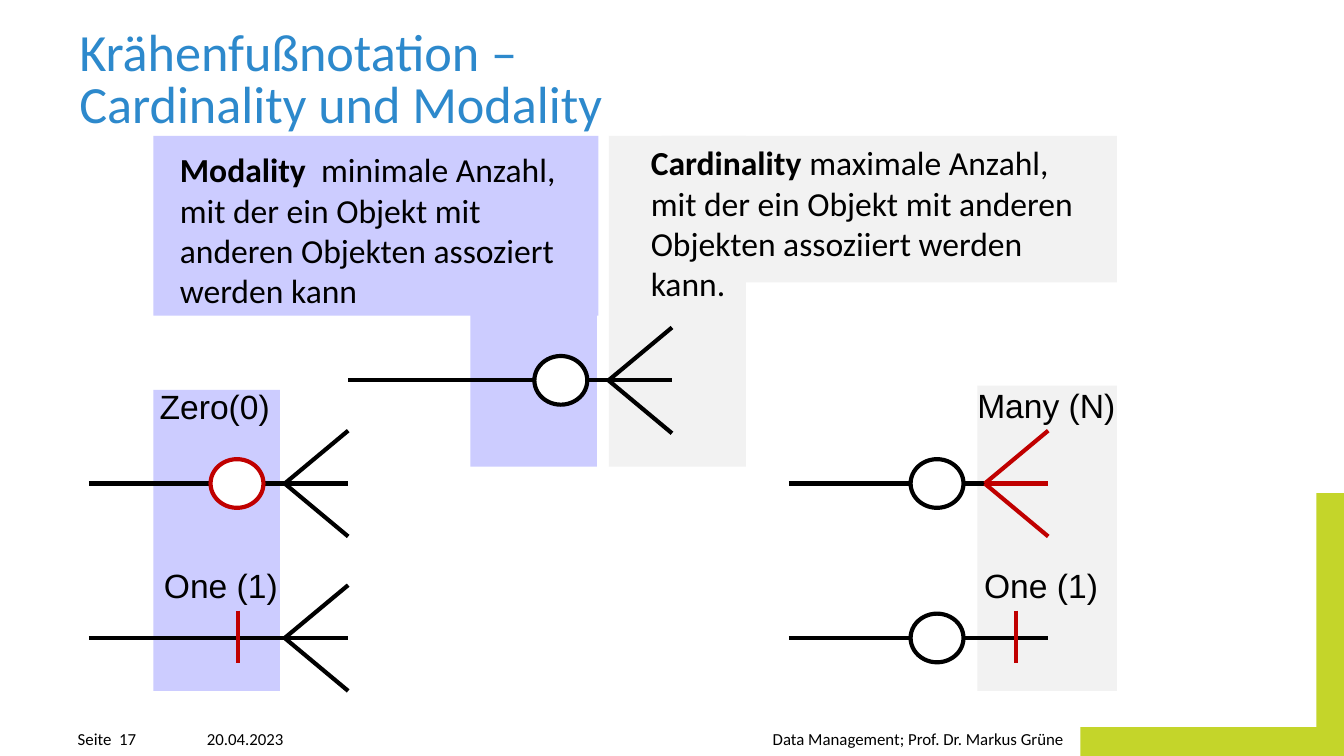
from lxml.etree import SubElement
from pptx import Presentation
from pptx.dml.color import RGBColor
from pptx.enum.shapes import MSO_CONNECTOR as LINE, MSO_SHAPE as SHAPE
from pptx.enum.text import MSO_ANCHOR as ANCHOR, PP_ALIGN as ALIGN
from pptx.oxml.ns import qn
from pptx.util import Cm, Pt

BLACK = RGBColor(0x00, 0x00, 0x00)
WHITE = RGBColor(0xFF, 0xFF, 0xFF)
RED = RGBColor(0xC0, 0x00, 0x00)
BLUE = RGBColor(0x2D, 0x89, 0xCC)
LILAC = RGBColor(0xCC, 0xCC, 0xFF)
GREY = RGBColor(0xF2, 0xF2, 0xF2)
LIME = RGBColor(0xC4, 0xD5, 0x2A)

deck = Presentation()
deck.slide_width, deck.slide_height = Cm(25.4), Cm(14.29)
slide = deck.slides.add_slide(deck.slide_layouts[6])
shapes = slide.shapes


def add_line(owner, x1, y1, x2, y2, color):
    line = owner.add_connector(LINE.STRAIGHT, Cm(x1), Cm(y1), Cm(x2), Cm(y2))
    line.line.color.rgb = color
    line.line.width = Pt(2.25)
    SubElement(line._element.spPr, qn("a:effectLst"))


def add_text(box, text, size, font="Calibri", color=BLACK, wrap=True, lead=""):
    """Add a text box without margins; lead is a bold opening run."""
    frame = shapes.add_textbox(*map(Cm, box)).text_frame
    frame.margin_left = frame.margin_right = 0
    frame.margin_top = frame.margin_bottom = 0
    frame.word_wrap = wrap
    para = frame.paragraphs[0]
    para.text = lead or text
    if lead:
        para.add_run().text = text
        para.runs[0].font.bold = True
    for run in para.runs:
        run.font.size = Pt(size)
        run.font.name = font
        run.font.color.rgb = color
    return frame


# Corner ornament
corner = shapes.add_shape(SHAPE.CORNER, Cm(20.42), Cm(9.32), Cm(5), Cm(5))
corner.adjustments[0], corner.adjustments[1] = 0.115, 0.108
corner._element.spPr.xfrm.set("flipH", "1")
corner.shadow.inherit = False
corner.fill.solid()
corner.fill.fore_color.rgb = LIME
corner.line.fill.background()

# Coloured areas
areas = [
    (18.47, 7.29, 2.64, 5.77, GREY),
    (8.89, 4.5, 2.39, 4.32, LILAC),
    (11.51, 2.57, 2.59, 6.25, GREY),
    (12.5, 2.57, 8.61, 2.77, GREY),
    (2.9, 2.57, 8.41, 3.4, LILAC),
    (2.9, 7.37, 2.39, 5.69, LILAC),
]
for *box, color in areas:
    area = shapes.add_shape(SHAPE.RECTANGLE, *map(Cm, box))
    area.shadow.inherit = False
    area.fill.solid()
    area.fill.fore_color.rgb = color
    area.line.fill.background()

# Title and definitions
title = add_text((1.5, 0.81, 18.8, 1.73),
                 "Krähenfußnotation –\vCardinality und Modality", 28, color=BLUE)
title.vertical_anchor = ANCHOR.BOTTOM
title.paragraphs[0].line_spacing = Pt(28)
add_text((12.3, 2.69, 8.2, 3.07),
         "maximale Anzahl, mit der ein Objekt mit anderen Objekten "
         "assoziiert werden kann.", 18, lead="Cardinality ")
add_text((3.4, 2.82, 7.65, 3.07),
         "minimale Anzahl, mit der ein Objekt mit anderen Objekten "
         "assoziert werden kann", 18, lead="Modality  ")

# Relation symbols: right end, height, length, foot, circle, bar offset
signs = [
    (12.7, 7.19, 6.12, BLACK, BLACK, None),
    (6.58, 9.14, 4.9, BLACK, RED, None),
    (6.58, 12.06, 4.9, BLACK, None, 2.08),
    (19.81, 9.14, 4.9, RED, BLACK, None),
    (19.81, 12.06, 4.9, None, BLACK, 0.61),
]
for end, y, length, foot, ring, bar in signs:
    group = shapes.add_group_shape().shapes
    add_line(group, end - length, y, end, y, BLACK)
    if foot is not None:
        for rise in (-1, 1):
            add_line(group, end - 1.2, y, end, y + rise, foot)
    if foot == RED:
        add_line(group, end - 1.2, y, end, y, RED)
    if ring is not None:
        circle = group.add_shape(SHAPE.OVAL, Cm(end - 2.6), Cm(y - 0.46),
                                 Cm(1), Cm(0.92))
        circle.shadow.inherit = False
        circle.fill.solid()
        circle.fill.fore_color.rgb = WHITE
        circle.line.color.rgb = ring
        circle.line.width = Pt(2.25)
    if bar is not None:
        add_line(group, end - bar, y - 0.52, end - bar, y + 0.48, RED)

# Symbol labels
labels = [
    (3.02, 7.29, 2.11, "Zero(0)"),
    (3.1, 10.67, 2.18, "One (1)"),
    (18.47, 7.27, 2.64, "Many (N)"),
    (18.6, 10.67, 2.18, "One (1)"),
]
for x, y, width, text in labels:
    add_text((x, y, width, 0.76), text, 18, font="Arial", wrap=False)

# Footer
page = add_text((1.47, 13.77, 1.4, 0.38), "Seite  17", 9, wrap=False)
date = add_text((3.91, 13.69, 10, 0.46), "20.04.2023", 9)
course = add_text((13.49, 13.69, 6.6, 0.46),
                  "Data Management; Prof. Dr. Markus Grüne", 9)
for frame in (page, date, course):
    frame.vertical_anchor = ANCHOR.BOTTOM
for frame in (date, course):
    frame.paragraphs[0].line_spacing = 1.2
course.paragraphs[0].alignment = ALIGN.RIGHT

deck.save("out.pptx")
